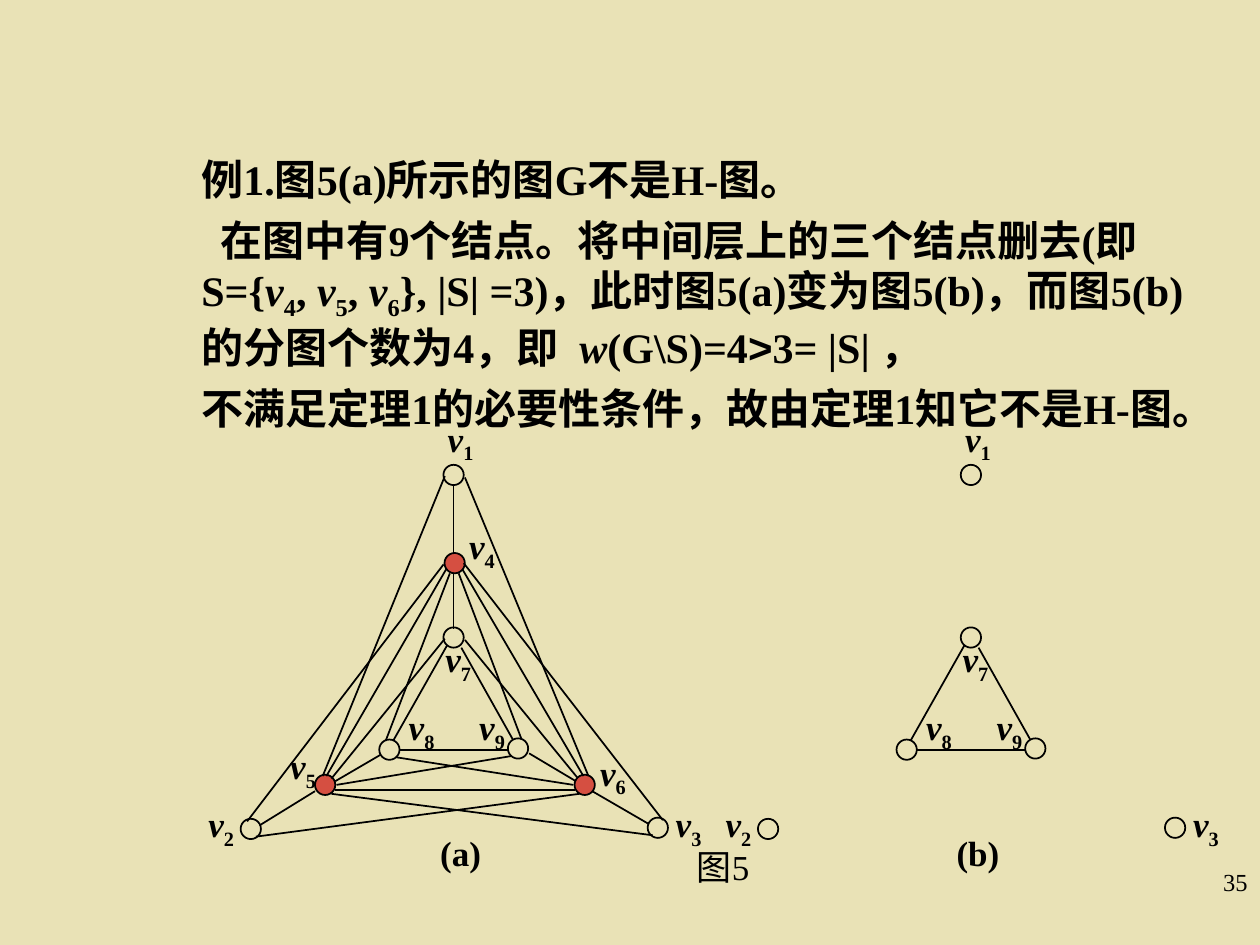
from dataclasses import dataclass

from lxml import etree
from pptx import Presentation
from pptx.dml.color import RGBColor
from pptx.enum import shapes, text
from pptx.oxml import ns
from pptx.util import Pt


@dataclass(frozen=True)
class Theme:
    ground: RGBColor = RGBColor(0xE9, 0xE2, 0xB6)
    ink: RGBColor = RGBColor(0, 0, 0)
    removed: RGBColor = RGBColor(0xD5, 0x4F, 0x41)
    serif: str = "Times New Roman"
    sans: str = "Arial"
    body: int = 24
    label: int = 20
    number: int = 14
    line: int = 1


THEME = Theme()
CENTRE, RIGHT = text.PP_ALIGN.CENTER, text.PP_ALIGN.RIGHT
ITALIC, SUB, SANS = {"italic": True}, {"sub": True}, {"name": THEME.sans}

# Graph G: vertex centres, label corners and edge ends, in points from the figure's corner
RADIUS = 5.8
LABEL_SIZE = (25.2, 27.4)
CAPTION_BOX = (136.8, 236.9, 25.2, 23.8)
CENTRES = {
    6: (220.3, 210.2), 4: (146, 83.5), 5: (72, 210.2),
    9: (182.2, 189.4), 8: (108.7, 190.1), 7: (145.4, 126),
    3: (262.1, 234.7), 2: (29.5, 235.4), 1: (145.4, 33.1),
}
LABELS = {
    1: (136.8, 0), 2: (0, 220.3), 3: (267.1, 220.3),
    4: (149, 61.2), 5: (46.8, 187.2), 6: (223.9, 190.8),
    7: (135.4, 126), 8: (114.5, 164.9), 9: (154.8, 164.9),
}
EDGES = {
    (7, 8): (141.8, 130.3, 110.9, 185), (7, 9): (149.8, 131.8, 179.3, 184.3),
    (8, 9): (114.5, 190.1, 177.1, 190.1), (4, 5): (141.1, 87.1, 72.7, 205.2),
    (5, 6): (77.8, 213.1, 214.6, 213.1), (4, 6): (150.5, 87.1, 219.6, 205.2),
    (7, 5): (140.4, 126.7, 75.6, 206.6), (4, 8): (143.3, 89.3, 106.6, 185),
    (4, 2): (139.7, 84.2, 27.4, 231.1), (8, 6): (112.3, 194.4, 213.8, 210.2),
    (9, 5): (178.6, 193.7, 78.5, 210.2), (5, 3): (75.6, 215.3, 259.2, 239),
    (6, 2): (217.4, 215.3, 32.4, 239.8), (7, 6): (151.9, 127.4, 216, 205.9),
    (1, 6): (151.9, 34.6, 222.5, 205.2), (1, 5): (140.4, 33.8, 70.6, 205.2),
    (4, 3): (151.2, 83.5, 265, 230.4), (4, 9): (148.3, 89.3, 184.3, 184.3),
    (5, 2): (66.2, 213.8, 34.6, 233.3), (8, 5): (103.7, 193, 77.8, 208.1),
    (6, 3): (224.6, 213.8, 257, 232.6), (9, 6): (188.6, 192.2, 215.3, 208.1),
    (4, 7): (145.4, 90, 145.4, 121), (1, 4): (145.4, 38.9, 145.4, 77.8),
}
CUT_SET = {4, 5, 6}

# Body paragraphs as (words, format) spans
PARAGRAPHS = [
    [("例1.图5(a)所示的图G不是H-图。", {})],
    [("在图中有9个结点。将中间层上的三个结点删去(即S={", {}),
     ("v", ITALIC), ("4", SUB), (", ", {}), ("v", ITALIC), ("5", SUB), (", ", {}),
     ("v", ITALIC), ("6", SUB),
     ("}, |S| =3)，此时图5(a)变为图5(b)，而图5(b) 的分图个数为4，即\t", {}),
     ("w", ITALIC), ("(G\\S)=4", {}), (">", SANS), ("3= |S| ，", {})],
    [("不满足定理1的必要性条件，故由定理1知它不是H-图。", {})],
]


def add_spans(para, spans, size, bold=True):
    for words, changes in spans:
        span = para.add_run()
        span.text = words
        values = {"name": THEME.serif, "size": Pt(size), "bold": bold, **changes}
        if values.pop("sub", False):
            span._r.get_or_add_rPr().set("baseline", "-25000")
        for key, value in values.items():
            setattr(span.font, key, value)
        span.font.color.rgb = THEME.ink


def add_text_box(parent, box, inset=(0, 0), **values):
    frame = parent.shapes.add_textbox(*map(Pt, box)).text_frame
    across, down = map(Pt, inset)
    settings = {"margin_left": across, "margin_right": across, "margin_top": down,
                "margin_bottom": down, "word_wrap": True, **values}
    for key, value in settings.items():
        setattr(frame, key, value)
    return frame


def add_label(parent, box, spans, bold=True):
    frame = add_text_box(parent, box, word_wrap=False,
                         vertical_anchor=text.MSO_ANCHOR.MIDDLE)
    para = frame.paragraphs[0]
    para.alignment = CENTRE
    add_spans(para, spans, THEME.label, bold)


def add_body(page, box):
    frame = add_text_box(page, box, (7.2, 3.6))
    for index, spans in enumerate(PARAGRAPHS):
        para = frame.add_paragraph() if index else frame.paragraphs[0]
        if index:
            para.space_before = Pt(6)
        if index == 1:  # first-line indent, and a stop for the formula
            props = para._p.get_or_add_pPr()
            props.set("marL", "0")
            props.set("indent", str(Pt(10.9)))
            stops = etree.SubElement(props, ns.qn("a:tabLst"))
            etree.SubElement(stops, ns.qn("a:tab"), pos=str(Pt(302)), algn="l")
        add_spans(para, spans, THEME.body)


def add_vertex(group, x, y, removed):
    disc = group.shapes.add_shape(shapes.MSO_SHAPE.OVAL, Pt(x - RADIUS), Pt(y - RADIUS),
                                  Pt(2 * RADIUS), Pt(2 * RADIUS))
    disc.shadow.inherit = False
    if removed:
        disc.fill.solid()
        disc.fill.fore_color.rgb = THEME.removed
    else:
        disc.fill.background()
    disc.line.color.rgb = THEME.ink
    disc.line.width = Pt(THEME.line)


def add_edge(group, ends):
    edge = group.shapes.add_connector(shapes.MSO_CONNECTOR.STRAIGHT, *map(Pt, ends))
    edge.line.color.rgb = THEME.ink
    edge.line.width = Pt(THEME.line)
    etree.SubElement(edge._element.spPr, ns.qn("a:effectLst"))


def add_graph(page, left, top, caption, deleted=frozenset()):
    """Draws G without the deleted vertices and the edges that meet them."""
    group = page.shapes.add_group_shape()
    x, y, width, height = CAPTION_BOX
    add_label(group, (left + x, top + y, width, height), [(caption, {})])
    kept = CENTRES.keys() - deleted
    for vertex, (x, y) in CENTRES.items():
        if vertex in kept:
            add_vertex(group, left + x, top + y, vertex in CUT_SET)
    for pair, (x1, y1, x2, y2) in EDGES.items():
        if kept.issuperset(pair):
            add_edge(group, (left + x1, top + y1, left + x2, top + y2))
    for vertex, (x, y) in LABELS.items():
        if vertex in kept:
            add_label(group, (left + x, top + y, *LABEL_SIZE),
                      [("v", ITALIC), (str(vertex), SUB)])


def add_page_number(page, box, number):
    para = add_text_box(page, box, (7.2, 3.6)).paragraphs[0]
    para.alignment = RIGHT
    add_spans(para, [(number, {})], THEME.number, bold=False)


def main():
    deck = Presentation()
    deck.slide_width, deck.slide_height = Pt(720), Pt(540)
    page = deck.slides.add_slide(deck.slide_layouts[6])
    page.background.fill.solid()
    page.background.fill.fore_color.rgb = THEME.ground

    add_page_number(page, (570, 492, 150, 36), "35")
    add_body(page, (108, 84, 600, 432))
    # Figure 5: G, and G without the cut set
    add_label(page, (394.5, 483, 37.5, 24), [("图5", {})], bold=False)
    add_graph(page, 113.8, 238.3, "(a)")
    add_graph(page, 409.4, 238.3, "(b)", CUT_SET)
    deck.save("out.pptx")


if __name__ == "__main__":
    main()
